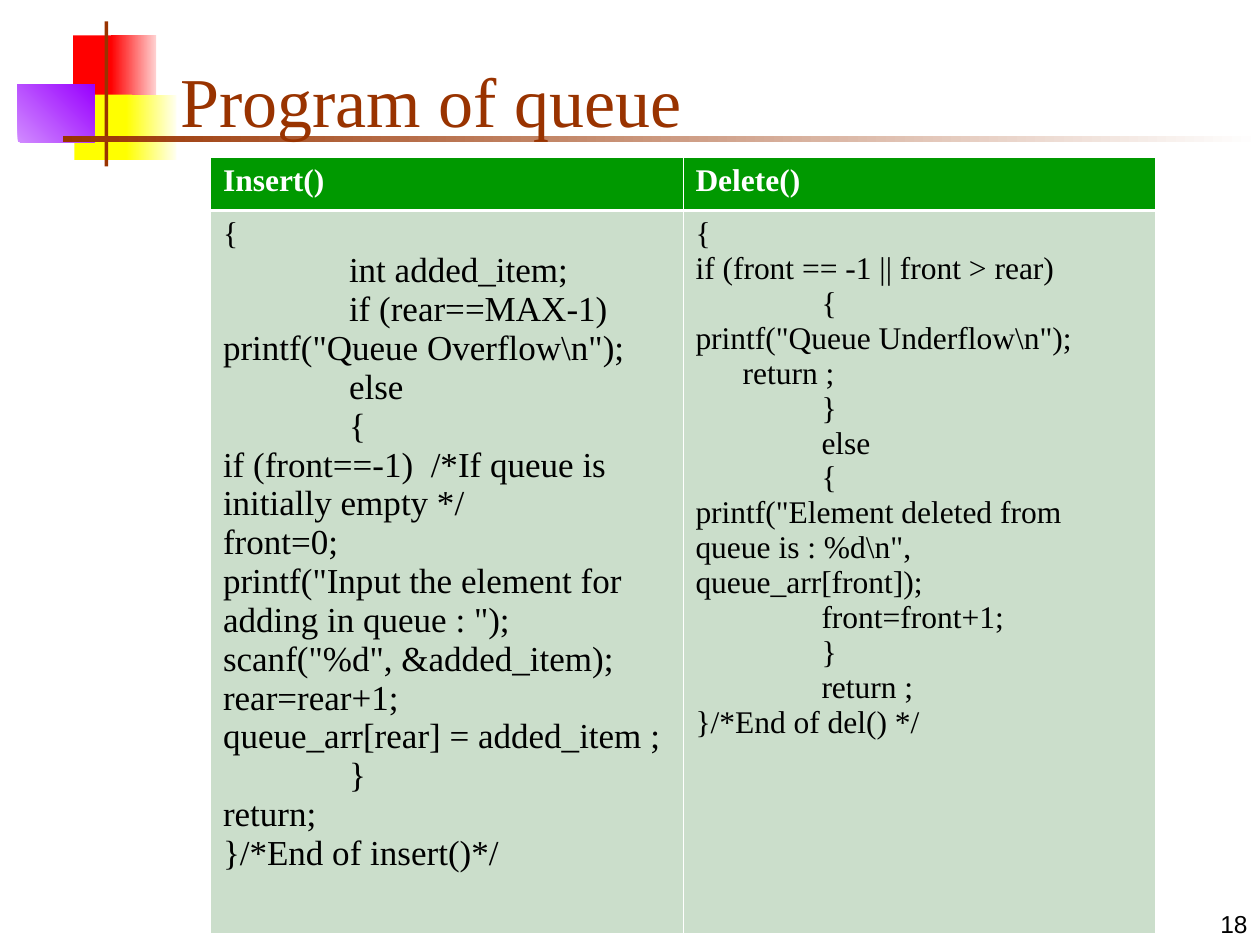
from lxml import etree
from pptx import Presentation
from pptx.dml.color import RGBColor
from pptx.enum.shapes import MSO_SHAPE
from pptx.enum.text import MSO_ANCHOR, MSO_AUTO_SIZE, PP_ALIGN
from pptx.oxml.ns import qn
from pptx.util import Inches, Pt

RECTANGLE = MSO_SHAPE.RECTANGLE
BOTTOM = MSO_ANCHOR.BOTTOM
LEFT, RIGHT = PP_ALIGN.LEFT, PP_ALIGN.RIGHT
NO_AUTOFIT = MSO_AUTO_SIZE.NONE
TITLE_ONLY = 5
COLUMNS, ROWS = 100, 75

INSERT_CODE = r"""{
	int added_item;
	if (rear==MAX-1)
printf("Queue Overflow\n");
	else
	{
if (front==-1)  /*If queue is initially empty */		front=0;
printf("Input the element for adding in queue : ");
scanf("%d", &added_item);
rear=rear+1;
queue_arr[rear] = added_item ;
	}
return;
}/*End of insert()*/"""

DELETE_CODE = r"""{
if (front == -1 || front > rear)
	{
printf("Queue Underflow\n");
      return ;
	}
	else
	{
printf("Element deleted from queue is : %d\n", queue_arr[front]);
	front=front+1;
	}
	return ;
}/*End of del() */"""


def rgb(hex_code):
    return RGBColor.from_string(hex_code)


class QueueSlide:
    serif, sans = "Times New Roman", "Arial"
    brown, black, white = "993300", "000000", "FFFFFF"
    header_green, body_green = "009900", "CBDECB"
    thin, thick = 0.45, 1.47

    def __init__(self, deck):
        self.deck = deck
        self.slide = deck.slides.add_slide(deck.slide_layouts[TITLE_ONLY])

    def place(self, left, top, width, height):
        """Turn grid columns and rows into slide lengths."""
        column = self.deck.slide_width / COLUMNS
        row = self.deck.slide_height / ROWS
        return (round(left * column), round(top * row),
                round(width * column), round(height * row))

    def style(self, paragraph, size, color, font=serif, bold=False, align=LEFT):
        paragraph.alignment = align
        for run in paragraph.runs:
            run.font.name = font
            run.font.size = Pt(size)
            run.font.bold = bold
            run.font.color.rgb = rgb(color)

    def tab_stops(self, paragraph):
        stops = etree.SubElement(paragraph._p.get_or_add_pPr(), qn("a:tabLst"))
        for inch in range(8):
            etree.SubElement(stops, qn("a:tab"), pos=str(Inches(inch)), algn="l")

    def block(self, area, start, end=None, angle=0):
        """Add a rectangle, with a gradient when an end colour is given."""
        shape = self.slide.shapes.add_shape(RECTANGLE, *self.place(*area))
        shape.shadow.inherit = False
        shape.line.fill.background()
        if end is None:
            shape.fill.solid()
            shape.fill.fore_color.rgb = rgb(start)
            return
        shape.fill.gradient()
        shape.fill.gradient_angle = angle
        for stop, color, position in zip(shape.fill.gradient_stops, (start, end), (0, 1)):
            stop.color.rgb = rgb(color)
            stop.position = position

    def title(self, area, text):
        title = self.slide.shapes.title
        title.left, title.top, title.width, title.height = self.place(*area)
        frame = title.text_frame
        frame.text = text
        frame.auto_size = NO_AUTOFIT
        frame.vertical_anchor = BOTTOM
        self.style(frame.paragraphs[0], 40, self.brown)
        self.slide.shapes.element.append(title.element)  # in front of the blocks

    def page_number(self, area, number):
        frame = self.slide.shapes.add_textbox(*self.place(*area)).text_frame
        frame.word_wrap = True
        frame.vertical_anchor = BOTTOM
        frame.text = number
        self.style(frame.paragraphs[0], 14, self.black, self.sans, align=RIGHT)

    def borders(self, cell, top, bottom):
        sides = {"lnL": self.thin, "lnR": self.thin, "lnT": top, "lnB": bottom}
        properties = cell._tc.get_or_add_tcPr()
        for index, (side, width) in enumerate(sides.items()):
            line = etree.Element(qn(f"a:{side}"), w=str(Pt(width)))
            fill = etree.SubElement(line, qn("a:solidFill"))
            etree.SubElement(fill, qn("a:srgbClr"), val=self.white)
            properties.insert(index, line)

    def cell(self, cell, text, fill, color, sizes, bold=False):
        """Fill a cell; sizes are those of the first line and of the rest."""
        cell.text = text
        cell.fill.solid()
        cell.fill.fore_color.rgb = rgb(fill)
        first_size, rest_size = sizes
        for index, paragraph in enumerate(cell.text_frame.paragraphs):
            self.tab_stops(paragraph)
            self.style(paragraph, rest_size if index else first_size, color, bold=bold)

    def code_table(self, area, header_rows, functions):
        left, top, width, height = self.place(*area)
        table = self.slide.shapes.add_table(
            2, len(functions), left, top, width, height).table
        header_height = self.place(0, 0, 0, header_rows)[3]
        table.rows[0].height = header_height
        table.rows[1].height = height - header_height
        for column, (name, code, code_size) in enumerate(functions):
            header, body = table.cell(0, column), table.cell(1, column)
            self.cell(header, name, self.header_green, self.white, (18, 18), bold=True)
            self.cell(body, code, self.body_green, self.black, (18, code_size))
            self.borders(header, self.thin, self.thick)
            self.borders(body, self.thick, self.thin)


def main():
    deck = Presentation()
    deck.slide_width, deck.slide_height = Inches(10), Inches(7.5)
    page = QueueSlide(deck)

    page.block((5.8, 2.8, 3.5, 5.2), "FF0000")
    page.block((8.8, 2.8, 3.6, 5.2), "FF0000", "FFD1D1")
    page.block((5.9, 7.5, 4.6, 5.2), "FFFF00")
    page.block((10, 7.5, 4, 5.2), "FFFF00", "FFFFF0")
    page.block((1.4, 6.7, 6.1, 4.6), "D18BFF", "9900FF", angle=45)
    page.block((8.3, 1.7, 0.3, 11.5), page.brown)
    page.block((5, 10.8, 95, 0.5), page.brown, page.white)

    page.title((13.3, 2.5, 85.2, 9.2), "Program of queue")
    page.page_number((79.2, 70, 20.8, 5), "18")
    page.code_table((16.7, 12.5, 75, 61.6), 4.2, [
        ("Insert()", INSERT_CODE, 20),
        ("Delete()", DELETE_CODE, 18),
    ])
    deck.save("out.pptx")


if __name__ == "__main__":
    main()
